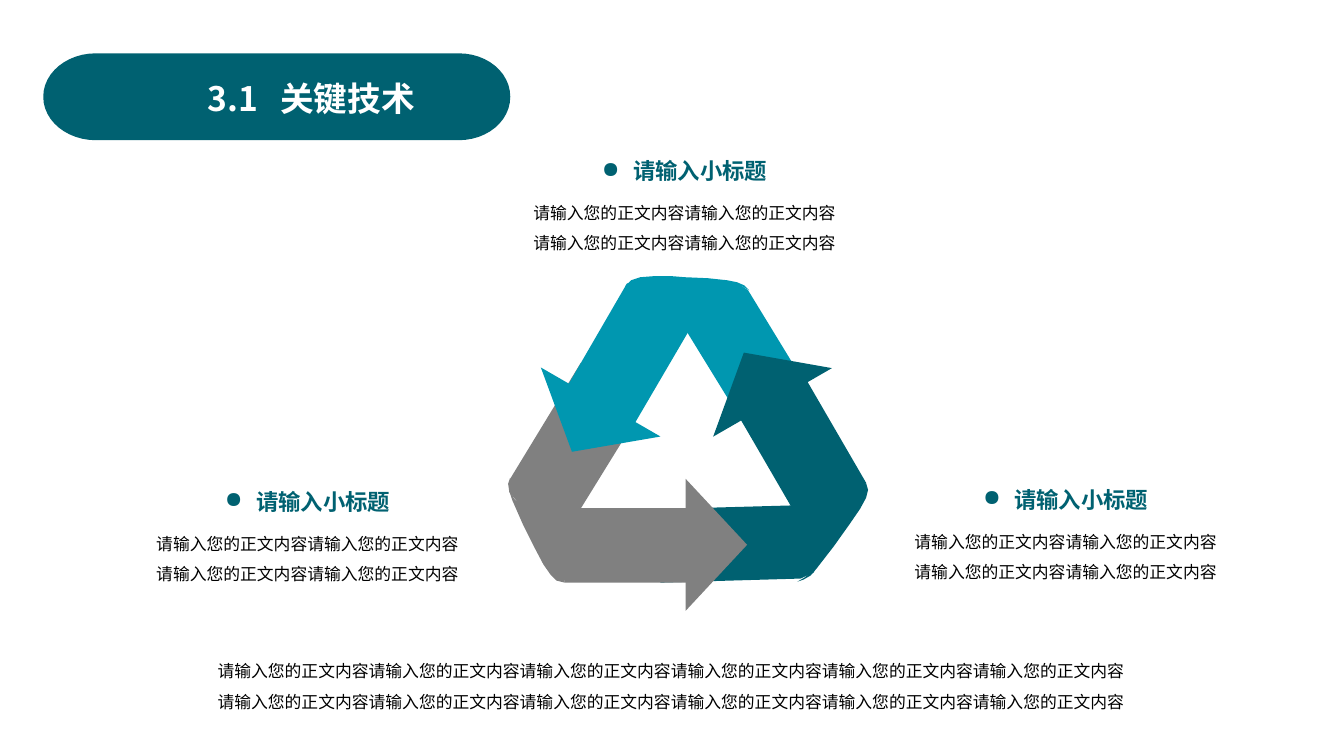
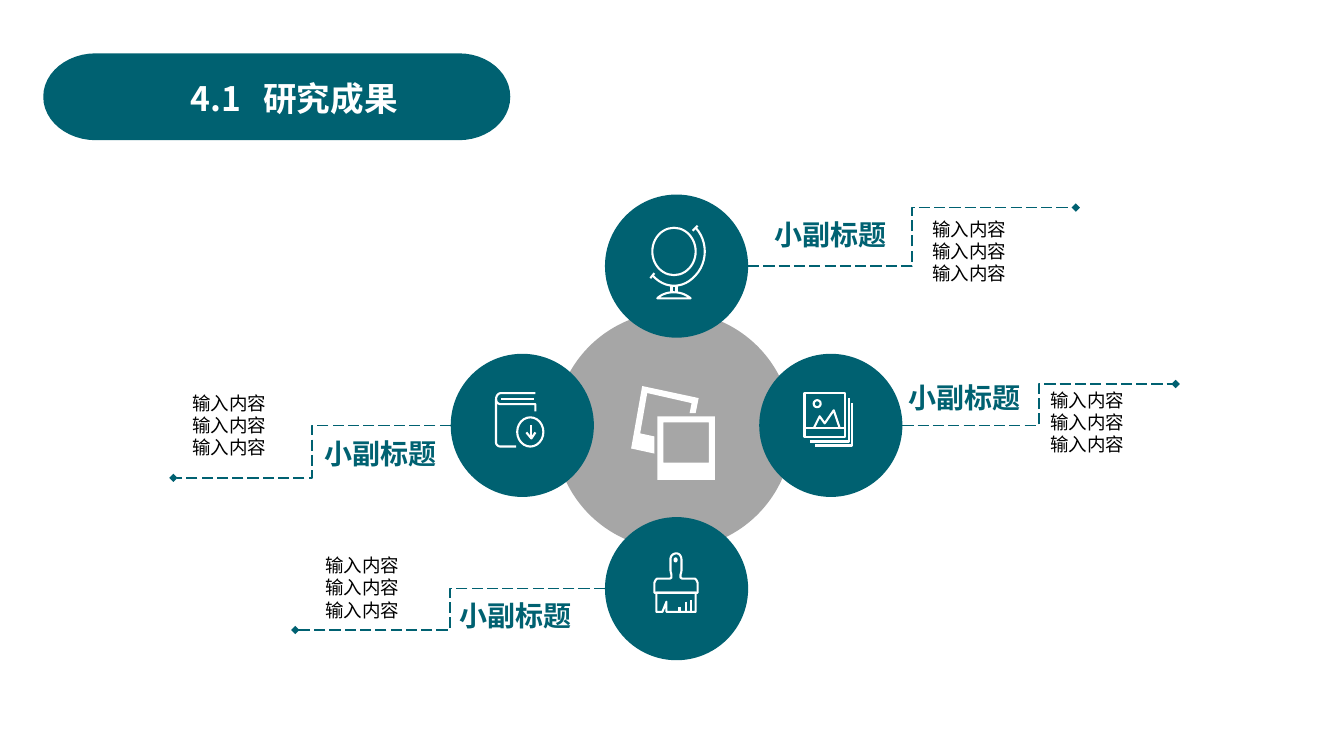
"""Build two slides: a three-arrow cycle and a hub with four labelled branches."""
import dataclasses

import lxml.etree
import pptx
import pptx.dml.color
import pptx.enum.dml
import pptx.enum.shapes
import pptx.enum.text
import pptx.oxml.ns
import pptx.util


@dataclasses.dataclass(frozen=True)
class Theme:
    teal: str = "006171"
    cyan: str = "0097B0"
    gray: str = "808080"
    silver: str = "A6A6A6"
    white: str = "FFFFFF"
    black: str = "000000"
    font: str = "Noto Sans CJK SC"
    title: float = 24
    label: float = 20
    heading: float = 16
    note: float = 13.2
    body: float = 12
    icon_line: float = 1.5
    branch_line: float = 1
    band_line: float = 3


T = Theme()
RGB = pptx.dml.color.RGBColor.from_string
SHAPE = pptx.enum.shapes.MSO_SHAPE
CONNECTOR = pptx.enum.shapes.MSO_CONNECTOR
ALIGN = pptx.enum.text.PP_ALIGN
qn = pptx.oxml.ns.qn

prs = pptx.Presentation()
prs.slide_width = pptx.util.Inches(13.33)
prs.slide_height = pptx.util.Inches(7.5)
COL = prs.slide_width / 1333
ROW = prs.slide_height / 750


def outline(shapes, contours, fill=None, line=None, width=0):
    """Draw contours of points (x, y) and cubic curves (x1, y1, x2, y2, x, y)."""
    builder = None
    for contour in contours:
        pts = []
        for seg in contour:
            if len(seg) == 2:
                pts.append(seg)
                continue
            ctrl = [pts[-1], seg[:2], seg[2:4], seg[4:]]
            for step in range(1, 13):
                t = step / 12
                weights = [(1 - t) ** 3, 3 * t * (1 - t) ** 2, 3 * t * t * (1 - t), t ** 3]
                pts.append(tuple(sum(k * c[i] for k, c in zip(weights, ctrl)) for i in (0, 1)))
        closed = contour[0] == contour[-1][-2:] or fill is not None
        pts = [(x * COL, y * ROW) for x, y in pts]
        if builder is None:
            builder = shapes.build_freeform(*pts[0])
        else:
            builder.move_to(*pts[0])
        builder.add_line_segments(pts[1:], close=closed)
    sp = builder.convert_to_shape()
    sp.shadow.inherit = False
    if fill:
        sp.fill.solid()
        sp.fill.fore_color.rgb = RGB(fill)
    else:
        sp.fill.background()
    if line:
        sp.line.color.rgb = RGB(line)
        sp.line.width = pptx.util.Pt(width)
    else:
        sp.line.fill.background()
    return sp


def write(s, box, lines, spacing=1.0, align=ALIGN.LEFT):
    """Add a text box with one paragraph per (text, size, colour, bold, bullet)."""
    x, y, w, h = box
    tf = s.shapes.add_textbox(int(x * COL), int(y * ROW), int(w * COL), int(h * ROW)).text_frame
    tf.word_wrap = True
    for i, (text, size, color, bold, bullet) in enumerate(lines):
        p = tf.add_paragraph() if i else tf.paragraphs[0]
        if bullet:
            pPr = p._p.get_or_add_pPr()
            pPr.set("marL", str(int(31 * COL)))
            pPr.set("indent", str(int(-31 * COL)))
            lxml.etree.SubElement(pPr, qn("a:buChar"), char=bullet)
            p.space_after = pptx.util.Pt(6)
        p.alignment = align
        p.line_spacing = spacing
        r = p.add_run()
        r.text = text
        r.font.size = pptx.util.Pt(size)
        r.font.bold = bold
        r.font.color.rgb = RGB(color)
        r.font.name = T.font
        lxml.etree.SubElement(r._r.get_or_add_rPr(), qn("a:ea"), typeface=T.font)


layout = prs.slide_layouts[5]
slides = []
for number, name, left in [("3.1", "关键技术", 206), ("4.1", "研究成果", 189)]:
    s = prs.slides.add_slide(layout)
    slides.append(s)
    title = s.shapes.title
    title.left, title.top = int(left * COL), int(72 * ROW)
    title.width, title.height = int(280 * COL), int(50 * ROW)
    tf = title.text_frame
    tf.margin_left = tf.margin_right = 0
    tf.vertical_anchor = pptx.enum.text.MSO_ANCHOR.TOP
    p = tf.paragraphs[0]
    tabs = lxml.etree.SubElement(p._p.get_or_add_pPr(), qn("a:tabLst"))
    lxml.etree.SubElement(tabs, qn("a:tab"), pos=str(int(72 * COL)), algn="l")
    p.alignment = ALIGN.LEFT
    for text in (number + "\t", name):
        r = p.add_run()
        r.text = text
        r.font.size = pptx.util.Pt(T.title)
        r.font.bold = True
        r.font.color.rgb = RGB(T.white)
        r.font.name = T.font
        lxml.etree.SubElement(r._r.get_or_add_rPr(), qn("a:ea"), typeface=T.font)

cycle, hub = slides
band = outline(cycle.shapes, [[
    (95, 55), (455, 55), (482, 55, 504, 73, 504, 96), (504, 119, 482, 137, 455, 137),
    (95, 137), (68, 137, 45, 119, 45, 96), (45, 73, 68, 55, 95, 55)]],
    T.teal, T.teal, T.band_line)
band.element.nvSpPr.cNvPr.set("id", "20")
layout.shapes.element.append(band.element)

arrows = [
    (T.gray, [[(643, 396), (551, 545), (505, 488), (506, 475), (576, 360)]], None),
    (T.cyan, [
        [(750, 441), (656, 288), (730, 280), (742, 288), (814, 406)],
        [(619, 438), (691, 315), (657, 295), (622, 281), (553, 400)],
        [(686, 322), (620, 284), (626, 278), (635, 275), (648, 274), (667, 274), (679, 275),
         (702, 276), (721, 278), (731, 280), (738, 283), (743, 288), (736, 284), (726, 281),
         (716, 283), (706, 290), (702, 296)]],
     (513, 395, 137, 57, 210)),
    (T.teal, [
        [(657, 505), (837, 500), (807, 568), (794, 574), (655, 578)],
        [(724, 398), (796, 522), (829, 502), (859, 479), (790, 360)],
        [(793, 517), (859, 479), (861, 486), (859, 494), (853, 505), (842, 521), (827, 542),
         (810, 564), (804, 571), (797, 575), (791, 577), (798, 573), (803, 569), (808, 562),
         (810, 552), (809, 546), (806, 540)]],
     (684, 346, 136, 57, 330)),
    (T.gray, [
        [(560, 504), (560, 578), (552, 576), (546, 570), (539, 560), (530, 543), (519, 521),
         (508, 496), (505, 487), (504, 480), (506, 474), (506, 487), (510, 495), (518, 502),
         (524, 504)],
        [(706, 504), (554, 504), (555, 542), (560, 578), (706, 578)]],
     (645, 510, 131, 61, 90)),
]
group = cycle.shapes.add_group_shape()
for color, pieces, head in arrows:
    for piece in pieces:
        outline(group.shapes, [piece], color)
    if head:
        x, y, w, h, turn = head
        sp = group.shapes.add_shape(SHAPE.ISOSCELES_TRIANGLE, int(x * COL), int(y * ROW),
                                    int(w * COL), int(h * ROW))
        sp.rotation = turn
        sp.shadow.inherit = False
        sp.fill.solid()
        sp.fill.fore_color.rgb = RGB(color)
        sp.line.fill.background()

sentence = "请输入您的正文内容"
for x, y in [(517, 138), (143, 466), (895, 464)]:
    write(cycle, (x, y, 324, 119), [
        ("请输入小标题", T.heading, T.teal, True, "●"),
        (sentence * 4, T.body, T.black, False, None)], 1.5, ALIGN.CENTER)
write(cycle, (206, 641, 1036, 67), [(sentence * 6, T.body, T.black, False, None)] * 2, 1.5)

DISC = 142
branches = [
    (518, 422, -1, (172, 474), (312, 428), (181, 384, 112)),
    (824, 422, 1, (1166, 381), (891, 373), (1032, 381, 170)),
    (671, 584, -1, (293, 625), (446, 589), (313, 545, 114)),
    (671, 264, 1, (1067, 206), (758, 211), (915, 211, 170)),
]
discs = [(668, 427, 236, T.silver)] + [(b[0], b[1], DISC, T.teal) for b in branches]
for x, y, size, color in discs:
    sp = hub.shapes.add_shape(SHAPE.OVAL, int((x - size / 2) * COL), int((y - size / 2) * ROW),
                              int(size * COL), int(size * ROW))
    sp.shadow.inherit = False
    sp.fill.solid()
    sp.fill.fore_color.rgb = RGB(color)
    sp.line.fill.background()

strokes = []
for x, y, side, end, label, note in branches:
    c = hub.shapes.add_connector(CONNECTOR.ELBOW, int((x + side * DISC / 2) * COL), int(y * ROW),
                                 int(end[0] * COL), int(end[1] * ROW))
    c.line.dash_style = pptx.enum.dml.MSO_LINE.LONG_DASH
    strokes.append((c, T.teal, T.branch_line))
    lxml.etree.SubElement(c.line._get_or_add_ln(), qn("a:tailEnd"), type="diamond")
    write(hub, (*label, 153, 43), [("小副标题", T.label, T.teal, True, None)])
    write(hub, (*note, 76), [("输入内容", T.note, T.black, False, None)] * 3)

brush = {
    "paths": [
        [(677, 574), (676, 574, 675, 573, 675, 573), (675, 570), (676, 567, 676, 566, 676, 564),
         (676, 556), (676, 552, 674, 549, 671, 549), (667, 549, 665, 552, 665, 555), (665, 564),
         (665, 566, 665, 567, 666, 570), (666, 573), (666, 573, 665, 574, 664, 574), (652, 574),
         (651, 574, 649, 577, 649, 579), (649, 588), (692, 588), (692, 579),
         (692, 577, 690, 574, 689, 574), (677, 574)],
        [(690, 607), (661, 607), (661, 597), (657, 607), (651, 607), (651, 588), (690, 588),
         (690, 607)]],
    "lines": [(685, 595, 685, 607), (680, 597, 680, 607), (674, 602, 674, 607)],
    "shapes": [(SHAPE.OVAL, 669, 554, 2, 3)],
}
book = {
    "paths": [
        [(512, 443), (496, 443), (494, 443, 492, 441, 492, 439), (492, 396)],
        [(531, 390), (497, 390), (494, 390, 492, 393, 492, 396), (492, 399, 494, 401, 497, 401),
         (531, 401), (531, 408)],
        [(522, 429), (527, 435), (531, 429)]],
    "lines": [(497, 396, 530, 396), (527, 435, 527, 422)],
    "shapes": [(SHAPE.OVAL, 513, 414, 26, 29)],
}
prints = {
    "paths": [
        [(845, 400), (845, 442), (808, 442)],
        [(842, 395), (842, 438), (803, 438)],
        [(833, 425), (827, 407), (818, 420), (813, 413), (807, 425)]],
    "lines": [(838, 425, 798, 425)],
    "shapes": [(SHAPE.RECTANGLE, 798, 390, 40, 44), (SHAPE.OVAL, 807, 397, 7, 7)],
}
globe = {
    "paths": [
        [(685, 296), (680, 292, 675, 290, 668, 290), (662, 290, 656, 292, 652, 296), (685, 296)],
        [(690, 226), (702, 239, 702, 260, 690, 273), (678, 287, 659, 287, 647, 273)]],
    "lines": [(666, 283, 666, 290), (671, 283, 671, 290), (645, 276, 649, 271),
              (687, 229, 692, 224)],
    "shapes": [(SHAPE.OVAL, 647, 226, 43, 47)],
}
for icon in (brush, book, prints, globe):
    group = hub.shapes.add_group_shape()
    for points in icon["paths"]:
        outline(group.shapes, [points], None, T.white, T.icon_line)
    for x1, y1, x2, y2 in icon["lines"]:
        c = group.shapes.add_connector(CONNECTOR.STRAIGHT, int(x1 * COL), int(y1 * ROW),
                                       int(x2 * COL), int(y2 * ROW))
        strokes.append((c, T.white, T.icon_line))
    for kind, x, y, w, h in icon["shapes"]:
        sp = group.shapes.add_shape(kind, int(x * COL), int(y * ROW), int(w * COL), int(h * ROW))
        sp.shadow.inherit = False
        sp.fill.background()
        sp.line.color.rgb = RGB(T.white)
        sp.line.width = pptx.util.Pt(T.icon_line)

for c, color, width in strokes:
    c.line.color.rgb = RGB(color)
    c.line.width = pptx.util.Pt(width)
    lxml.etree.SubElement(c._element.spPr, qn("a:effectLst"))

group = hub.shapes.add_group_shape()
outline(group.shapes, [
    [(709, 476), (652, 476), (652, 413), (709, 413), (709, 476)],
    [(658, 459), (703, 459), (703, 419), (658, 419), (658, 459)]], T.white)
outline(group.shapes, [[
    (637, 383), (693, 395), (690, 410), (684, 410), (686, 400), (642, 390), (635, 430),
    (649, 433), (649, 450), (626, 445)]], T.white)

prs.save("out.pptx")
